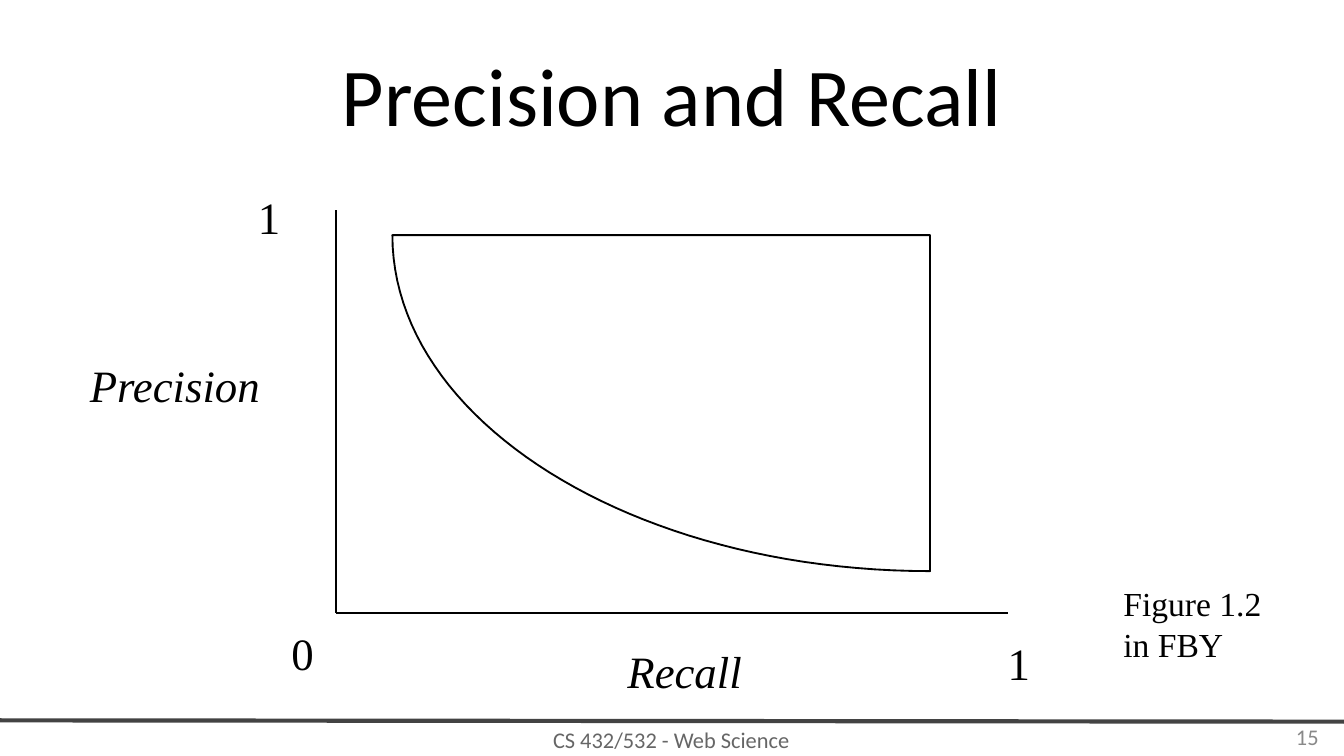
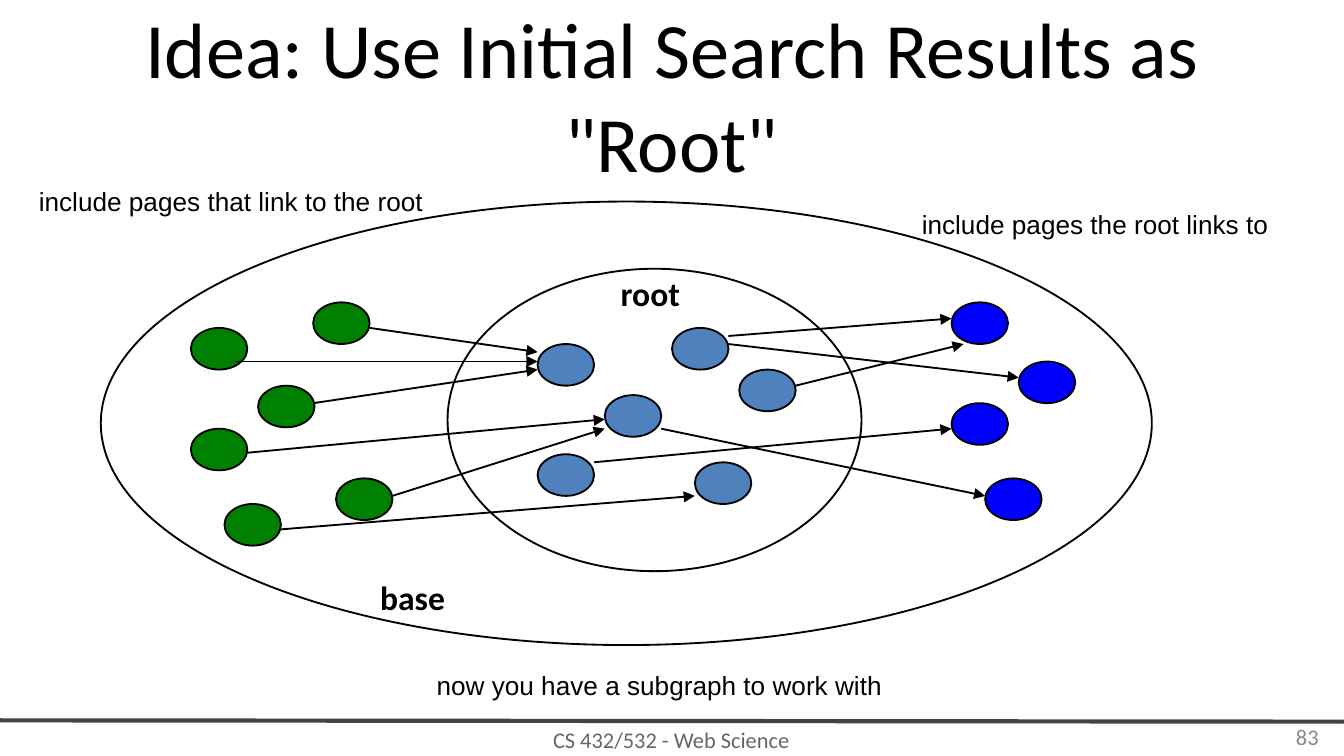
from typing import NamedTuple

from lxml import etree
from pptx import Presentation
from pptx import util as u
from pptx.dml.color import RGBColor
from pptx.enum import shapes, text
from pptx.oxml import ns

PX = 9144
BLACK = RGBColor(0x00, 0x00, 0x00)
FOOTER_GRAY = RGBColor(0x66, 0x66, 0x66)
NUMBER_GRAY = RGBColor(0x89, 0x89, 0x89)
RULE_GRAY = RGBColor(0x43, 0x43, 0x43)
ROOT_BLUE = RGBColor(0x4F, 0x81, 0xBD)
LINKED_BLUE = RGBColor(0x00, 0x00, 0xFF)
LINKING_GREEN = RGBColor(0x00, 0x80, 0x00)
SERIF = "Times New Roman"
DOT_W, DOT_H = 42, 31
CURVE_STEPS = 48


class Box(NamedTuple):
    x: int
    y: int
    w: int
    h: int


class Point(NamedTuple):
    x: int
    y: int


class Line(NamedTuple):
    start: Point
    end: Point


class Label(NamedTuple):
    words: str
    box: Box
    italic: bool = False
    size: int = 24


class DotSet(NamedTuple):
    color: RGBColor
    places: list[Point]


def px(n: float) -> u.Emu:
    return u.Emu(round(n * PX))


def add_text(s, words: str, box: Box, *, size: int, font: str = "Calibri",
             color: RGBColor = BLACK, bold: bool = False, italic: bool = False,
             align=text.PP_ALIGN.LEFT, anchor=text.MSO_ANCHOR.TOP,
             inset: int = 5) -> None:
    tf = s.shapes.add_textbox(*map(px, box)).text_frame
    tf.word_wrap = True
    tf.vertical_anchor = anchor
    tf.margin_left = tf.margin_right = px(10)
    tf.margin_top = tf.margin_bottom = px(inset)
    for i, row in enumerate(words.split("\n")):
        p = tf.paragraphs[0] if i == 0 else tf.add_paragraph()
        p.alignment = align
        r = p.add_run()
        r.text = row
        r.font.name = font
        r.font.size = u.Pt(size)
        r.font.color.rgb = color
        r.font.bold = bold
        r.font.italic = italic


def add_line(s, line: Line, *, color: RGBColor = BLACK, width: float = 1,
             arrow: bool = False) -> None:
    sp = s.shapes.add_connector(shapes.MSO_CONNECTOR.STRAIGHT,
                                *map(px, line.start + line.end))
    sp.line.color.rgb = color
    sp.line.width = u.Pt(width)
    if arrow:
        etree.SubElement(sp.line._get_or_add_ln(), ns.qn("a:tailEnd"), type="triangle")
    etree.SubElement(sp._element.spPr, ns.qn("a:effectLst"))


def style_outline(sp, fill: RGBColor | None = None) -> None:
    sp.shadow.inherit = False
    sp.line.color.rgb = BLACK
    sp.line.width = u.Pt(1)
    if fill is None:
        sp.fill.background()
    else:
        sp.fill.solid()
        sp.fill.fore_color.rgb = fill


def add_ellipse(s, box: Box, fill: RGBColor | None = None) -> None:
    style_outline(s.shapes.add_shape(shapes.MSO_SHAPE.OVAL, *map(px, box)), fill)


def add_curve_region(s, box: Box) -> None:
    right, bottom = box.x + box.w, box.y + box.h
    controls = [(right, bottom), (471, bottom), (box.x, 313), (box.x, box.y)]

    def bezier(t: float) -> tuple[int, int]:
        weights = ((1 - t) ** 3, 3 * t * (1 - t) ** 2, 3 * t * t * (1 - t), t ** 3)
        x, y = (sum(w * c for w, c in zip(weights, axis)) for axis in zip(*controls))
        return px(x), px(y)

    curve = [bezier(i / CURVE_STEPS) for i in range(1, CURVE_STEPS + 1)]
    fb = s.shapes.build_freeform(px(right), px(bottom))
    fb.add_line_segments(curve + [(px(right), px(box.y))], close=True)
    style_outline(fb.convert_to_shape())


def add_base_slide(prs, title: str, number: int, title_size: int):
    s = prs.slides.add_slide(prs.slide_layouts[6])
    middle, center = text.MSO_ANCHOR.MIDDLE, text.PP_ALIGN.CENTER
    add_text(s, "CS 432/532 - Web Science", Box(182, 537, 635, 26), size=12,
             color=FOOTER_GRAY, align=center, anchor=middle, inset=10)
    add_line(s, Line(Point(0, 536), Point(1000, 537)), color=RULE_GRAY, width=2.25)
    add_text(s, title, Box(50, 23, 900, 94), size=title_size, align=center, anchor=middle)
    add_text(s, str(number), Box(758, 533, 233, 30), size=12, color=NUMBER_GRAY,
             align=text.PP_ALIGN.RIGHT, anchor=middle)
    return s


def build_precision_recall(prs) -> None:
    s = add_base_slide(prs, "Precision and Recall", 15, 44)
    origin = Point(250, 456)
    for axis_end in (Point(250, 156), Point(750, 456)):
        add_line(s, Line(origin, axis_end))
    add_curve_region(s, Box(292, 175, 400, 250))
    labels = [
        Label("1", Box(182, 136, 36, 37)),
        Label("1", Box(740, 468, 36, 37)),
        Label("0", Box(207, 461, 36, 37)),
        Label("Precision", Box(57, 261, 148, 37), italic=True),
        Label("Recall", Box(457, 474, 135, 37), italic=True),
        Label("Figure 1.2\nin FBY", Box(826, 429, 148, 61), size=18),
    ]
    for label in labels:
        add_text(s, label.words, label.box, size=label.size, font=SERIF,
                 italic=label.italic)


def build_root_graph(prs) -> None:
    s = add_base_slide(prs, 'Idea: Use Initial Search Results as "Root"', 83, 42)
    dot_sets = [
        DotSet(ROOT_BLUE, [Point(400, 256), Point(450, 294), Point(400, 338),
                           Point(500, 244), Point(517, 344), Point(550, 275)]),
        DotSet(LINKED_BLUE, [Point(708, 300), Point(708, 225), Point(733, 356),
                             Point(758, 269)]),
        DotSet(LINKING_GREEN, [Point(142, 319), Point(142, 244), Point(167, 375),
                               Point(192, 287), Point(233, 225), Point(250, 356)]),
    ]
    for dots in dot_sets:
        for place in dots.places:
            add_ellipse(s, Box(*place, DOT_W, DOT_H), dots.color)
    for ring in (Box(333, 200, 308, 225), Box(75, 150, 782, 330)):
        add_ellipse(s, ring)
    links = [
        Line(Point(542, 250), Point(708, 237)),
        Line(Point(542, 256), Point(758, 281)),
        Line(Point(592, 287), Point(717, 256)),
        Line(Point(492, 319), Point(733, 369)),
        Line(Point(442, 344), Point(708, 319)),
        Line(Point(233, 300), Point(400, 275)),
        Line(Point(183, 337), Point(450, 312)),
        Line(Point(292, 369), Point(450, 319)),
        Line(Point(175, 269), Point(400, 269)),
        Line(Point(275, 244), Point(400, 262)),
        Line(Point(208, 394), Point(517, 369)),
    ]
    for link in links:
        add_line(s, link, arrow=True)
    captions = [
        Label("include pages the root links to", Box(676, 150, 298, 23)),
        Label("include pages that link to the root", Box(19, 133, 308, 23)),
        Label("now you have a subgraph to work with", Box(315, 493, 390, 23)),
    ]
    for caption in captions:
        add_text(s, caption.words, caption.box, size=14, font="Arial")
    for name in (Label("root", Box(452, 193, 71, 34)), Label("base", Box(273, 419, 71, 34))):
        add_text(s, name.words, name.box, size=18, bold=True, inset=10)


def main() -> None:
    prs = Presentation()
    prs.slide_width = px(1000)
    prs.slide_height = u.Emu(prs.slide_width * 9 // 16)
    build_precision_recall(prs)
    build_root_graph(prs)
    prs.save("out.pptx")


if __name__ == "__main__":
    main()
